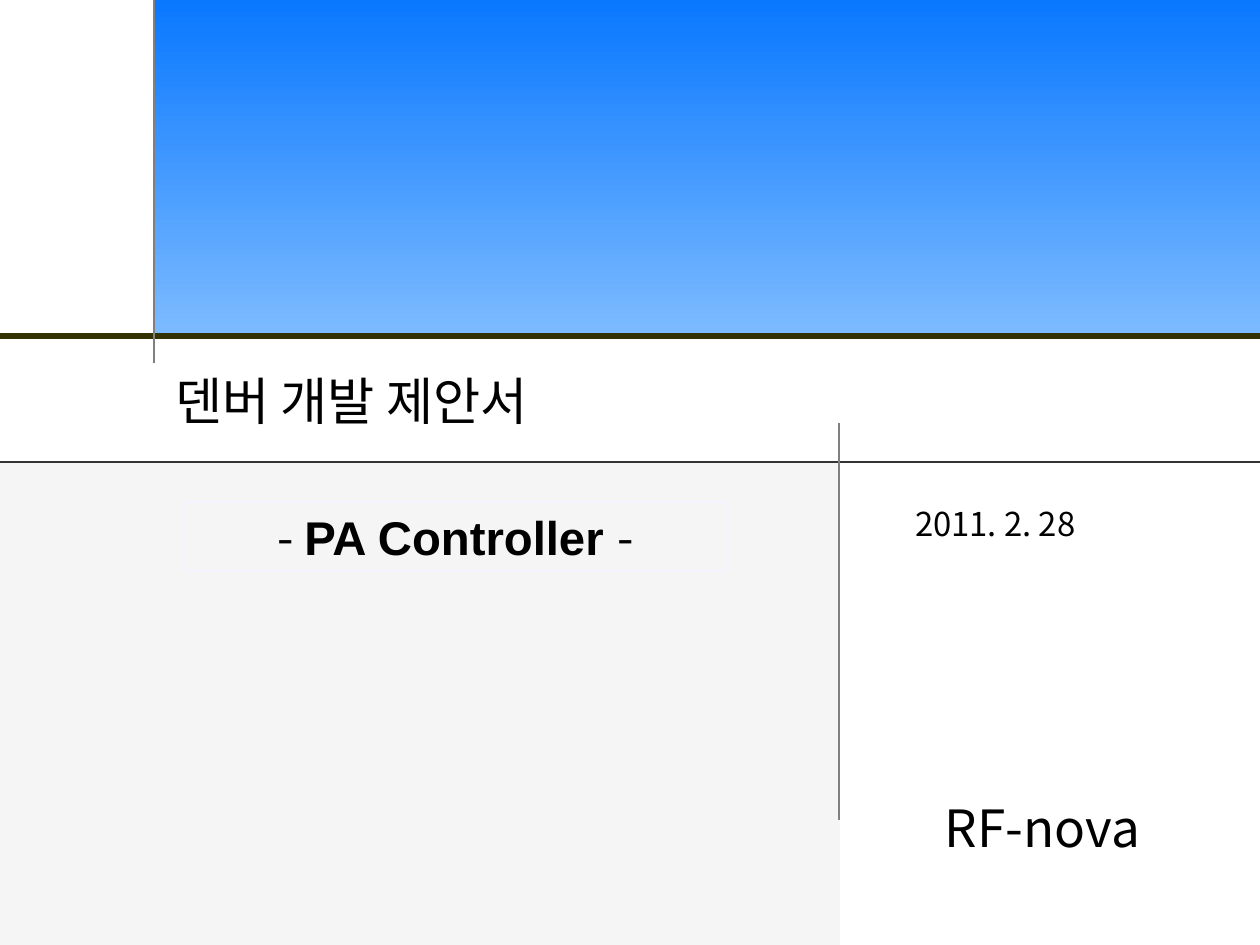
from pptx import Presentation
from pptx import util as u
from pptx.dml.color import RGBColor
from pptx.enum import shapes, text
from pptx.oxml.ns import qn
from lxml import etree

PX = 9666
W, H = 1260, 945
SANS, ARIAL = "Noto Sans CJK KR", "Arial"
COLORS = {
    "panel": "F5F5F5", "sky_top": "0978FF", "sky_bottom": "7DBBFF",
    "olive": "333300", "gray": "808080", "dark": "333333",
    "frame": "F3F4FF", "ink": "000000",
}
PANEL = (0, 462, 840, 483)
BANNER = (154, 0, 1106, 336)
RULES = [
    ((0, 336, W, 336), "olive", 4),
    ((154, 0, 154, 363), "gray", 1),
    ((0, 462, W, 462), "dark", 1),
    ((839, 423, 839, 820), "gray", 1),
]
TITLE = ((163, 363, 402, 74), 39, [("덴버 개발 제안서", SANS, False)])
SUBTITLE = ((184, 502, 543, 69), 36, [
    ("- ", SANS, False), ("PA Controller ", ARIAL, True), ("-", SANS, False)])
LABELS = [
    ((903, 498, 185, 52), 25, [("2011. 2. 28", SANS, False)]),
    ((933, 790, 255, 74), 39, [("RF-nova", SANS, False)]),
]


def emu(box):
    return [v * PX for v in box]


def color(name):
    return RGBColor.from_string(COLORS[name])


def add_block(s, box):
    sp = s.shapes.add_shape(shapes.MSO_SHAPE.RECTANGLE, *emu(box))
    sp.shadow.inherit = False
    sp.line.fill.background()
    return sp


def add_rule(s, ends, name, width):
    c = s.shapes.add_connector(shapes.MSO_CONNECTOR.STRAIGHT, *emu(ends))
    c.line.color.rgb = color(name)
    c.line.width = u.Pt(width)
    etree.SubElement(c._element.spPr, qn("a:effectLst"))


def write(sp, box, size, runs, align=text.PP_ALIGN.LEFT, wrap=False):
    sp.left, sp.top, sp.width, sp.height = emu(box)
    tf = sp.text_frame
    tf.word_wrap = wrap
    tf.auto_size = text.MSO_AUTO_SIZE.NONE
    tf.vertical_anchor = text.MSO_ANCHOR.TOP
    tf.margin_left = tf.margin_right = 12 * PX
    tf.margin_top = tf.margin_bottom = 6 * PX
    p = tf.paragraphs[0]
    p.alignment = align
    p.space_before = u.Pt(0)
    for words, face, bold in runs:
        r = p.add_run()
        r.text = words
        r.font.name = face
        r.font.size = u.Pt(size)
        r.font.bold = bold
        r.font.color.rgb = color("ink")
        ea = etree.SubElement(r.font._element, qn("a:ea"))
        ea.set("typeface", face)


def main():
    prs = Presentation()
    prs.slide_width, prs.slide_height = emu((W, H))
    s = prs.slides.add_slide(prs.slide_layouts[0])
    title, subtitle = s.placeholders

    panel = add_block(s, PANEL)
    panel.fill.solid()
    panel.fill.fore_color.rgb = color("panel")

    banner = add_block(s, BANNER)
    banner.fill.gradient()
    banner.fill.gradient_angle = 270
    for stop, name in zip(banner.fill.gradient_stops, ("sky_top", "sky_bottom")):
        stop.color.rgb = color(name)

    for rule in RULES:
        add_rule(s, *rule)

    for sp in (title, subtitle):
        s.shapes._spTree.append(sp._element)
    write(title, *TITLE)
    write(subtitle, *SUBTITLE, align=text.PP_ALIGN.CENTER, wrap=True)
    subtitle.line.color.rgb = color("frame")
    subtitle.line.width = u.Pt(1)

    for box, size, runs in LABELS:
        write(s.shapes.add_textbox(*emu(box)), box, size, runs)

    prs.save("out.pptx")


if __name__ == "__main__":
    main()
